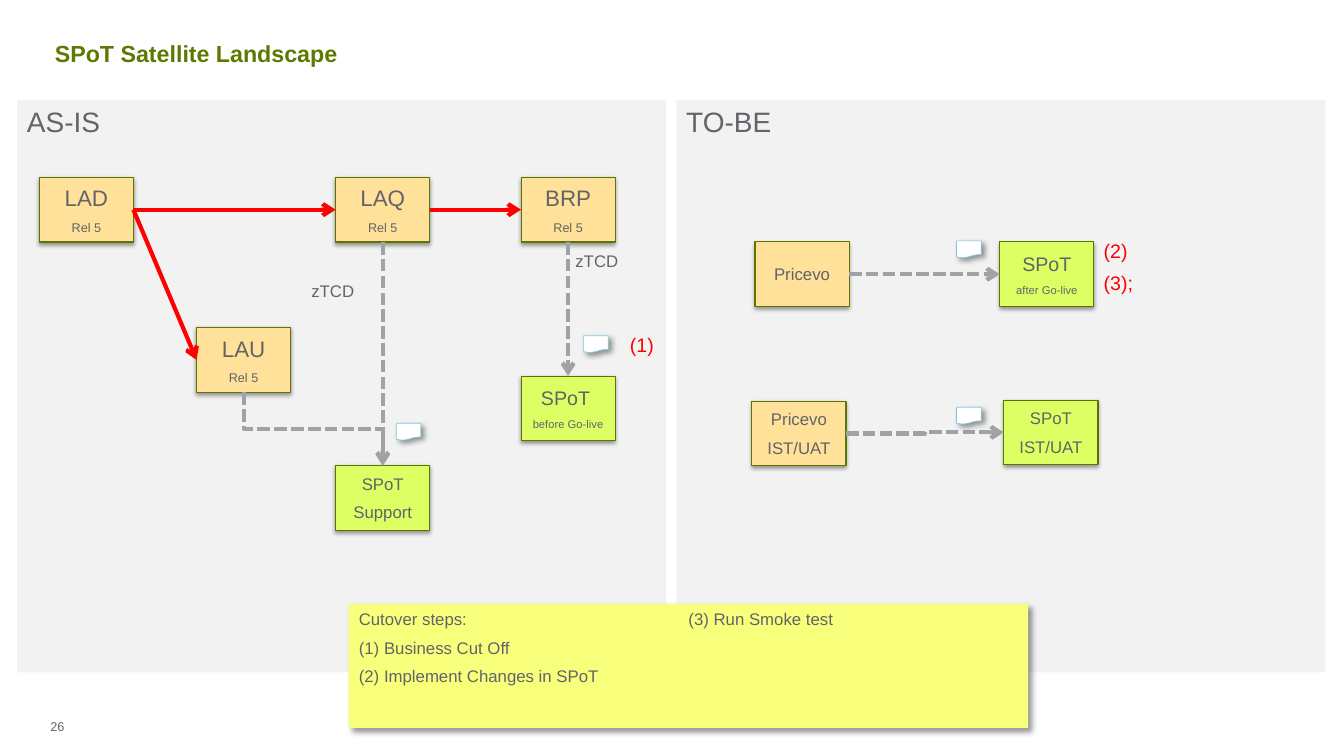
from dataclasses import dataclass

from pptx import Presentation
from pptx.dml.color import RGBColor
from pptx.enum.dml import MSO_LINE
from pptx.enum.shapes import MSO_CONNECTOR as Link, MSO_SHAPE as Preset
from pptx.enum.text import MSO_ANCHOR as Anchor, MSO_AUTO_SIZE as AutoSize, PP_ALIGN as Align
from pptx.oxml import parse_xml
from pptx.oxml.ns import nsdecls, qn
from pptx.util import Pt

GRAY, RED, DASH_GRAY = "626469", "FF0000", "A0A2A6"
ORANGE, LIME, DARK_GREEN = "FFE199", "DEFF63", "5D7500"
NODE_W, NODE_H = 67.2, 46.2
TOP, LEFT, BOTTOM, RIGHT = range(4)  # connection sites of a rectangle


@dataclass
class Node:
    left: float
    top: float
    fill: str
    lines: tuple
    sizes: tuple


@dataclass
class Arrow:
    start: str
    start_site: int
    end: str
    end_site: int
    color: str = RED
    kind: Link = Link.STRAIGHT


@dataclass
class Label:
    left: float
    top: float
    width: float
    height: float
    lines: tuple
    size: float = 12
    color: str = GRAY


NODES = {
    "before": Node(372.2, 268.6, LIME, ("SPoT ", "before Go-live"), (14, 8)),
    "uat": Node(717.1, 285.8, LIME, ("SPoT", "IST/UAT"), (12, 12)),
    "after": Node(714.2, 172.8, LIME, ("SPoT", "after Go-live"), (14, 8)),
    "LAD": Node(28.1, 126.7, ORANGE, ("LAD", "Rel 5"), (16, 9)),
    "LAQ": Node(239.8, 126.7, ORANGE, ("LAQ", "Rel 5"), (16, 9)),
    "LAU": Node(140.4, 234, ORANGE, ("LAU", "Rel 5"), (16, 9)),
    "BRP": Node(372.2, 126.7, ORANGE, ("BRP", "Rel 5"), (16, 9)),
    "support": Node(239.8, 332.6, LIME, ("SPoT", "Support"), (12, 12)),
    "pricing": Node(539.3, 172.8, ORANGE, ("Pricevo",), (12,)),
    "pricing uat": Node(537.1, 286.6, ORANGE, ("Pricevo", "IST/UAT"), (12, 12)),
}
ARROWS = [
    Arrow("LAD", RIGHT, "LAQ", LEFT),
    Arrow("LAD", RIGHT, "LAU", LEFT),
    Arrow("LAQ", RIGHT, "BRP", LEFT),
    Arrow("BRP", BOTTOM, "before", TOP, DASH_GRAY),
    Arrow("LAQ", BOTTOM, "support", TOP, DASH_GRAY),
    Arrow("pricing", RIGHT, "after", LEFT, DASH_GRAY),
    Arrow("pricing uat", RIGHT, "uat", LEFT, DASH_GRAY, Link.ELBOW),
]
LABELS = [
    Label(781.2, 167, 32.4, 82, ("(2)", "(3);"), 14, RED),
    Label(442.8, 234, 32.4, 23.8, ("(1)",), 14, RED),
    Label(403.9, 175.7, 34.6, 24.5, ("zTCD",)),
    Label(215.3, 197.3, 34.6, 24.5, ("zTCD",)),
]
DOCUMENTS = [(416.9, 239.8), (683.3, 290.9), (683.3, 172.1), (283, 302.4)]
PANELS = [(483.1, "TO-BE"), (12.2, "AS-IS")]
STEPS = ("Cutover steps:", "Business Cut Off", "Implement Changes in SPoT", "Run Smoke test")


def rgb(color: str) -> RGBColor:
    return RGBColor.from_string(color)


def write(frame, lines: tuple, *, sizes: tuple, color: str = GRAY, align=Align.LEFT,
          anchor=Anchor.TOP, wrap: bool = True, after: float = 6, bold: bool = False,
          spacing: float = 1.0, insets: tuple = (7.2, 3.6, 7.2, 3.6)) -> None:
    """Fill a text frame; the last size serves all remaining lines."""
    frame.word_wrap, frame.auto_size, frame.vertical_anchor = wrap, AutoSize.NONE, anchor
    (frame.margin_left, frame.margin_top,
     frame.margin_right, frame.margin_bottom) = map(Pt, insets)
    for i, line in enumerate(lines):
        paragraph = frame.paragraphs[0] if i == 0 else frame.add_paragraph()
        paragraph.alignment, paragraph.line_spacing = align, spacing
        paragraph.space_before, paragraph.space_after = Pt(0), Pt(after)
        run = paragraph.add_run()
        run.text = line
        font = run.font
        font.name, font.size, font.bold = "Arial", Pt(sizes[min(i, len(sizes) - 1)]), bold
        font.color.rgb = rgb(color)


def cast_shadow(shape, alpha: int, blur: float, distance: float, angle: int) -> None:
    shape.shadow.inherit = False
    effects = shape._element.spPr.find(qn("a:effectLst"))
    effects.append(parse_xml(
        f'<a:outerShdw {nsdecls("a")} blurRad="{Pt(blur)}" dist="{Pt(distance)}" '
        f'dir="{angle * 60000}" algn="tl" rotWithShape="0"><a:srgbClr val="000000">'
        f'<a:alpha val="{alpha * 1000}"/></a:srgbClr></a:outerShdw>'))


def place(shape, left: float, top: float, width: float, height: float) -> None:
    shape.left, shape.top, shape.width, shape.height = map(Pt, (left, top, width, height))


def add_box(slide, preset, box: tuple, fill: str, line: str = "", line_width: float = 0.75):
    shape = slide.shapes.add_shape(preset, *map(Pt, box))
    shape.shadow.inherit = False
    shape.fill.solid()
    shape.fill.fore_color.rgb = rgb(fill)
    if line:
        shape.line.color.rgb = rgb(line)
        shape.line.width = Pt(line_width)
    else:
        shape.line.fill.background()
    return shape


def style_arrow(connector, color: str) -> None:
    connector.line.color.rgb = rgb(color)
    connector.line.width = Pt(3)
    if color == DASH_GRAY:
        connector.line.dash_style = MSO_LINE.SQUARE_DOT
    properties = connector._element.spPr
    properties.find(qn("a:ln")).append(parse_xml(f'<a:tailEnd {nsdecls("a")} type="arrow"/>'))
    properties.append(parse_xml(f'<a:effectLst {nsdecls("a")}/>'))


def add_arrow(slide, arrow: Arrow, boxes: dict) -> None:
    connector = slide.shapes.add_connector(arrow.kind, 0, 0, 0, 0)
    connector.begin_connect(boxes[arrow.start], arrow.start_site)
    connector.end_connect(boxes[arrow.end], arrow.end_site)
    style_arrow(connector, arrow.color)


def add_down_elbow(slide, start: Node, end: Node) -> None:
    """Run down, across and down: an elbow turned by 270 degrees about its centre."""
    x1, y1 = start.left + NODE_W / 2, start.top + NODE_H
    x2, y2 = end.left + NODE_W / 2, end.top
    mid_x, mid_y, half_w, half_h = (x1 + x2) / 2, (y1 + y2) / 2, (y2 - y1) / 2, (x2 - x1) / 2
    connector = slide.shapes.add_connector(
        Link.ELBOW, Pt(mid_x + half_w), Pt(mid_y - half_h), Pt(mid_x - half_w), Pt(mid_y + half_h))
    connector._element.spPr.find(qn("a:xfrm")).set("rot", str(270 * 60000))
    style_arrow(connector, DASH_GRAY)


def fill_cutover(slide, cutover) -> None:
    place(cutover, 249.1, 431.3, 485.3, 88.6)
    cutover.fill.solid()
    cutover.fill.fore_color.rgb = rgb("F8FF7B")
    cast_shadow(cutover, 40, 4, 3, 45)
    # The deep bottom inset sends the fourth line to the second column
    write(cutover.text_frame, STEPS, sizes=(12,), insets=(7.2, 3.6, 7.2, 20))
    cutover.text_frame._txBody.bodyPr.set("numCol", "2")
    for i, paragraph in enumerate(cutover.text_frame.paragraphs):
        properties = paragraph._p.get_or_add_pPr()
        properties.set("marL", str(Pt(18 if i else 0)))
        properties.set("indent", str(Pt(-18 if i else 0)))
        bullet = 'buAutoNum {} type="arabicParenBoth"' if i else "buNone {}"
        properties.append(parse_xml(f'<a:{bullet.format(nsdecls("a"))}/>'))
    slide.shapes._spTree.append(cutover._element)


def main() -> None:
    deck = Presentation()
    deck.slide_width, deck.slide_height = Pt(960), Pt(540)
    slide = deck.slides.add_slide(deck.slide_layouts[1])
    title, cutover = slide.placeholders

    # Title and page number
    place(title, 39.2, 7.2, 887.8, 64)
    write(title.text_frame, ("SPoT Satellite Landscape",), sizes=(16.6,), color="5F7800",
          bold=True, anchor=Anchor.MIDDLE, spacing=0.9, after=0, insets=(0, 0, 0, 0))
    page_number = slide.shapes.add_textbox(*map(Pt, (31, 510.5, 58.3, 29.5)))
    write(page_number.text_frame, ("26",), sizes=(9.1,), after=4.5, insets=(5, 2.9, 5, 2.9))

    # Panels
    for left, heading in PANELS:
        panel = add_box(slide, Preset.RECTANGLE, (left, 71.3, 463.7, 409), "F2F2F2")
        write(panel.text_frame, (heading,), sizes=(20,))

    # Systems and the transports between them
    boxes = {}
    for key, node in NODES.items():
        box = add_box(slide, Preset.RECTANGLE, (node.left, node.top, NODE_W, NODE_H),
                      node.fill, DARK_GREEN)
        cast_shadow(box, 38, 3.1, 1.6, 90)
        write(box.text_frame, node.lines, sizes=node.sizes, align=Align.CENTER,
              anchor=Anchor.MIDDLE)
        boxes[key] = box
    for arrow in ARROWS:
        add_arrow(slide, arrow, boxes)
    add_down_elbow(slide, NODES["LAU"], NODES["support"])

    # Document marks and labels
    for left, top in DOCUMENTS:
        document = add_box(slide, Preset.FLOWCHART_DOCUMENT, (left, top, 17.6, 12.2),
                           "FFFFFF", "82C8DC", 0.5)
        cast_shadow(document, 40, 4, 3, 45)
    for label in LABELS:
        box = slide.shapes.add_textbox(*map(Pt, (label.left, label.top, label.width, label.height)))
        write(box.text_frame, label.lines, sizes=(label.size,), color=label.color, wrap=False)

    # Cutover steps
    fill_cutover(slide, cutover)
    deck.save("out.pptx")


if __name__ == "__main__":
    main()
